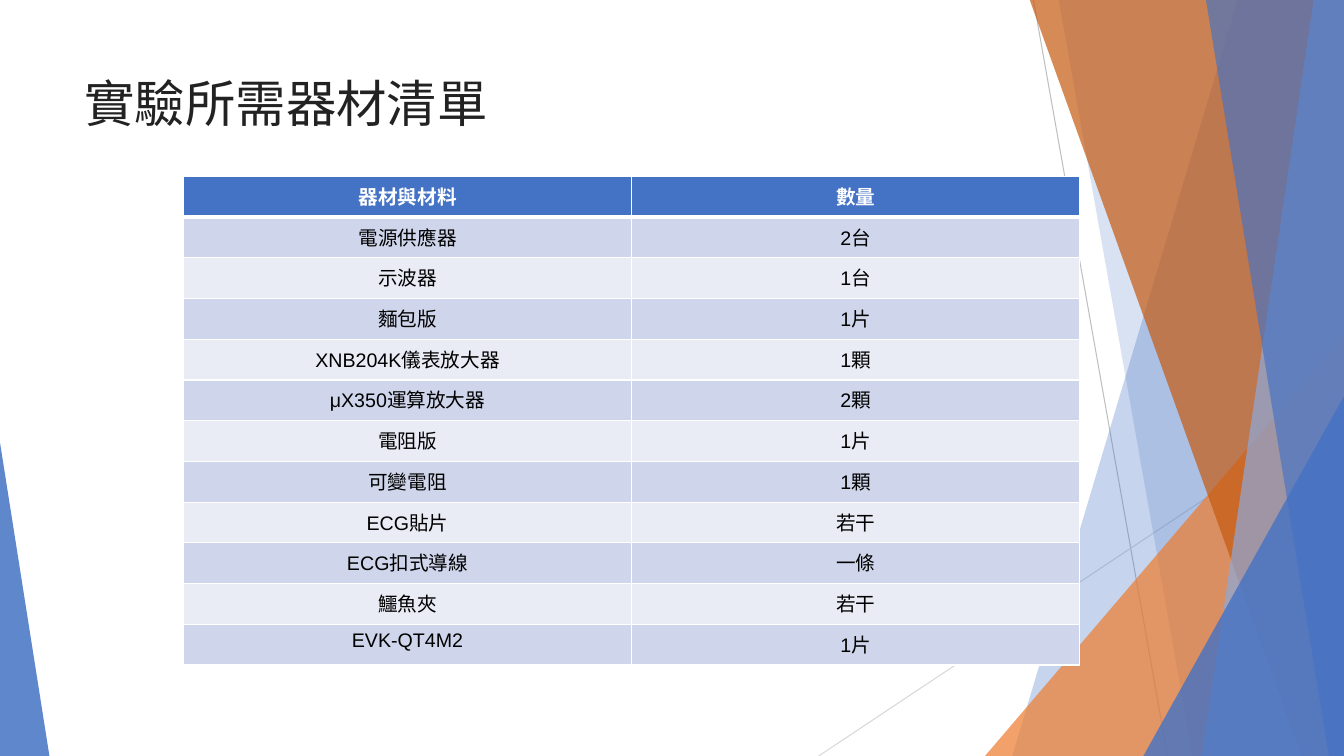
from lxml import etree
from pptx import Presentation
from pptx.dml.color import RGBColor
from pptx.enum import shapes, text
from pptx.oxml import ns
from pptx.util import Inches, Pt

FONT = "Arial"
WIDTH, HEIGHT = 13.33, 7.5
WHITE = RGBColor(0xFF, 0xFF, 0xFF)
BLACK = RGBColor(0x00, 0x00, 0x00)
TITLE_INK = RGBColor(0x22, 0x22, 0x22)
BLUE = RGBColor(0x44, 0x72, 0xC4)
LIGHT_BLUE = RGBColor(0x8D, 0xA9, 0xDB)
ORANGE = RGBColor(0xED, 0x7D, 0x31)
DARK_ORANGE = RGBColor(0xC5, 0x5A, 0x11)
DARK_LINE = RGBColor(0xBF, 0xBF, 0xBF)
PALE_LINE = RGBColor(0xD8, 0xD8, 0xD8)
BANDS = [RGBColor(0xCF, 0xD5, 0xEA), RGBColor(0xE9, 0xEB, 0xF5)]

EQUIPMENT = [
    ("器材與材料", "數量"),
    ("電源供應器", "2台"),
    ("示波器", "1台"),
    ("麵包版", "1片"),
    ("XNB204K儀表放大器", "1顆"),
    ("μX350運算放大器", "2顆"),
    ("電阻版", "1片"),
    ("可變電阻", "1顆"),
    ("ECG貼片", "若干"),
    ("ECG扣式導線", "一條"),
    ("鱷魚夾", "若干"),
    ("EVK-QT4M2", "1片"),
]


def add_child(parent, tag, **attributes):
    return etree.SubElement(parent, ns.qn(tag), attributes)


def format_font(font, **values):
    color = values.pop("color")
    for name, value in values.items():
        setattr(font, name, value)
    font.color.rgb = color


def paint(shape, color, opacity):
    """Fill a shape with a see-through colour, without outline or shadow."""
    shape.shadow.inherit = False
    shape.line.fill.background()
    shape.fill.solid()
    shape.fill.fore_color.rgb = color
    color_element = shape.fill._xPr.find(".//" + ns.qn("a:srgbClr"))
    add_child(color_element, "a:alpha", val=str(opacity * 1000))


def add_thin_line(slide, start, end, color):
    line = slide.shapes.add_connector(
        shapes.MSO_CONNECTOR.STRAIGHT, *map(Inches, start + end))
    line.line.color.rgb = color
    line.line.width = Pt(0.75)
    add_child(line._element.spPr, "a:effectLst")


def add_shard(slide, top_x, bottom_x, color, opacity):
    """Fill from a slanted left edge to the right edge of the slide."""
    corners = [(top_x, -0.01), (WIDTH, -0.01), (WIDTH, HEIGHT), (bottom_x, HEIGHT)]
    points = [(Inches(x), Inches(y)) for x, y in corners]
    builder = slide.shapes.build_freeform(*points[0])
    builder.add_line_segments(points[1:], close=True)
    paint(builder.convert_to_shape(), color, opacity)


def add_corner(slide, left, width, height, apex, color, opacity):
    """Stand a right triangle on the bottom edge; apex is 0 (left) or 1 (right)."""
    triangle = slide.shapes.add_shape(
        shapes.MSO_SHAPE.ISOSCELES_TRIANGLE,
        *map(Inches, (left, HEIGHT - height, width, height)))
    triangle.adjustments[0] = apex
    paint(triangle, color, opacity)


def add_backdrop(slide):
    add_thin_line(slide, (10.25, 0), (11.58, HEIGHT), DARK_LINE)
    add_thin_line(slide, (WIDTH, 4.03), (8.12, HEIGHT), PALE_LINE)
    add_shard(slide, 12.28, 10.04, BLUE, 30)
    add_shard(slide, 10.5, 11.83, BLUE, 20)
    add_corner(slide, 9.77, 3.56, 4.17, 1, ORANGE, 72)
    add_shard(slide, 10.21, 12.91, DARK_ORANGE, 70)
    add_shard(slide, 13.03, 11.92, LIGHT_BLUE, 70)
    add_shard(slide, 11.96, 13.18, BLUE, 65)
    add_corner(slide, 11.34, 1.99, 3.57, 1, BLUE, 80)
    add_corner(slide, 0, 0.49, 3.11, 0, BLUE, 85)


def add_title(slide, left, top, width, height):
    box = slide.shapes.add_textbox(*map(Inches, (left, top, width, height)))
    box.text_frame.word_wrap = True
    run = box.text_frame.paragraphs[0].add_run()
    run.text = "實驗所需器材清單"
    format_font(run.font, name=FONT, size=Pt(36), color=TITLE_INK)


def set_borders(cell, **widths):
    """Draw white cell borders; widths are points keyed by side letter."""
    properties = cell._tc.get_or_add_tcPr()
    for side, points in widths.items():
        border = add_child(properties, "a:ln" + side, w=str(Pt(points)))
        add_child(add_child(border, "a:solidFill"), "a:srgbClr", val=str(WHITE))


def add_equipment_table(slide, left, top, width, height):
    rows, columns = len(EQUIPMENT), len(EQUIPMENT[0])
    table = slide.shapes.add_table(
        rows, columns, *map(Inches, (left, top, width, height))).table
    for row, values in enumerate(EQUIPMENT):
        is_header = row == 0
        for column, value in enumerate(values):
            cell = table.cell(row, column)
            set_borders(cell, L=1, R=1, T=3 if row == 1 else 1,
                        B=3 if is_header else 1)
            cell.fill.solid()
            cell.fill.fore_color.rgb = BLUE if is_header else BANDS[(row - 1) % 2]
            paragraph = cell.text_frame.paragraphs[0]
            paragraph.alignment = text.PP_ALIGN.CENTER
            run = paragraph.add_run()
            run.text = value
            format_font(run.font, name=FONT, size=Pt(14), bold=is_header,
                        color=WHITE if is_header else BLACK)


def main():
    presentation = Presentation()
    presentation.slide_width = Inches(WIDTH)
    presentation.slide_height = Inches(HEIGHT)
    slide = presentation.slides.add_slide(presentation.slide_layouts[6])
    add_backdrop(slide)
    add_title(slide, 0.74, 0.67, 9.4, 1.44)
    add_equipment_table(slide, 1.82, 1.75, 8.89, 4.85)
    presentation.save("out.pptx")


if __name__ == "__main__":
    main()
